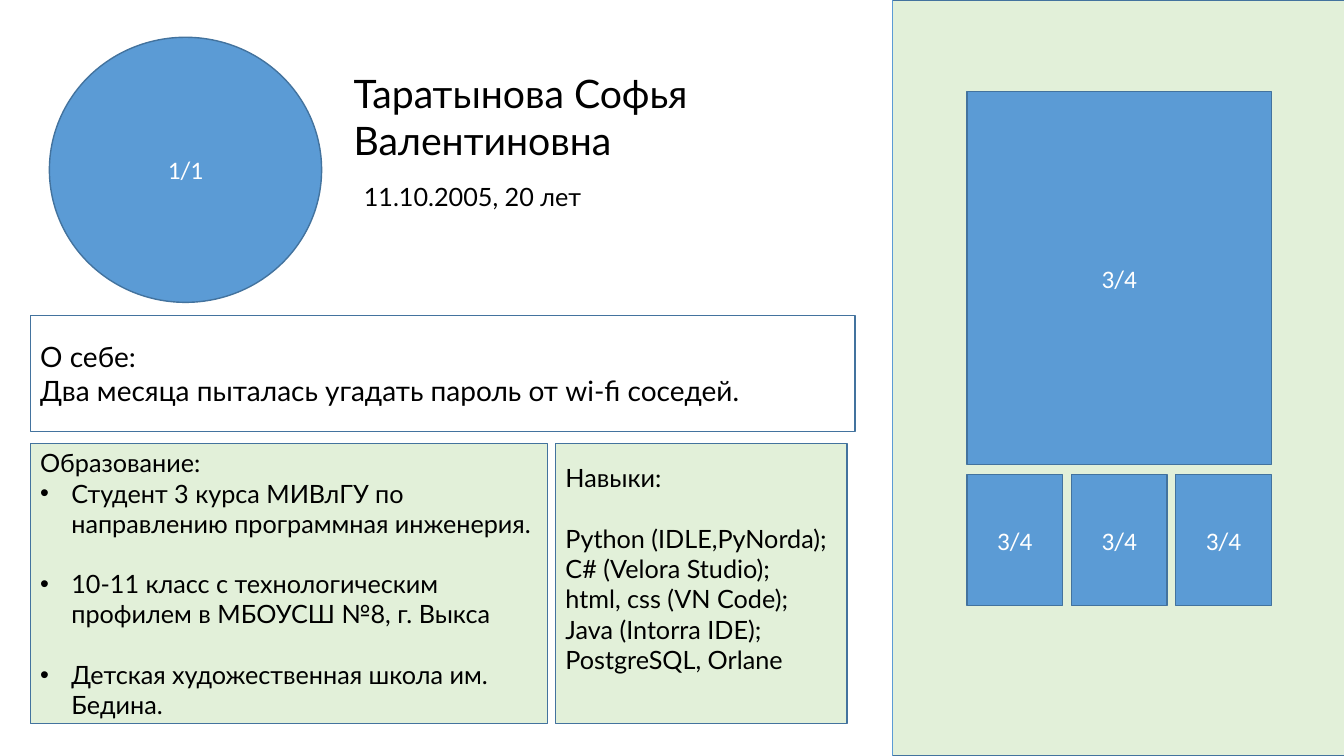
from dataclasses import dataclass

from lxml.etree import SubElement
from pptx import Presentation
from pptx.dml.color import RGBColor
from pptx.enum.shapes import MSO_CONNECTOR as Connector, MSO_SHAPE as Shape
from pptx.enum.text import MSO_ANCHOR as Anchor, PP_ALIGN as Align
from pptx.oxml.ns import qn
from pptx.util import Inches, Pt


@dataclass(frozen=True)
class Theme:
    """Colours, fonts and type sizes of the slide."""
    panel: str = "E2F0D9"
    photo: str = "5B9BD5"
    outline: str = "43739E"
    paper: str = "FFFFFF"
    ink: str = "000000"
    body_font: str = "Lato"
    photo_font: str = "Calibri"
    name_size: int = 28
    about_size: int = 20
    body_size: int = 18
    blank_line: float = 21.6


THEME = Theme()
BULLET_INDENT = 0.31


def rgb(code):
    """Return a colour from its hex code."""
    return RGBColor.from_string(code)


def add_bullet(paragraph):
    """Give a paragraph a hanging round bullet."""
    properties = paragraph._p.get_or_add_pPr()
    properties.set("marL", str(Inches(BULLET_INDENT)))
    properties.set("indent", str(-Inches(BULLET_INDENT)))
    SubElement(properties, qn("a:buFont")).set("typeface", "Arial")
    SubElement(properties, qn("a:buChar")).set("char", "•")


def write(frame, lines, size=THEME.body_size, font=THEME.body_font, color=THEME.ink,
          align=Align.LEFT, anchor=Anchor.TOP, bulleted=(), spaced=()):
    """Fill a text frame; bulleted and spaced hold line indexes."""
    frame.word_wrap = True
    frame.vertical_anchor = anchor
    for index, line in enumerate(lines):
        paragraph = frame.paragraphs[0] if index == 0 else frame.add_paragraph()
        paragraph.alignment = align
        if index in spaced:
            paragraph.space_before = Pt(THEME.blank_line)
        if index in bulleted:
            add_bullet(paragraph)
        run = paragraph.add_run()
        run.text = line
        run.font.size = Pt(size)
        run.font.name = font
        run.font.color.rgb = rgb(color)


def add_block(slide, box, fill, kind=Shape.RECTANGLE):
    """Add an outlined shape and return it."""
    block = slide.shapes.add_shape(kind, *map(Inches, box))
    block.shadow.inherit = False
    block.fill.solid()
    block.fill.fore_color.rgb = rgb(fill)
    block.line.color.rgb = rgb(THEME.outline)
    block.line.width = Pt(1)
    return block


def add_photo(slide, box, ratio, kind=Shape.RECTANGLE):
    """Add a photo placeholder labelled with its aspect ratio."""
    photo = add_block(slide, box, THEME.photo, kind)
    write(photo.text_frame, [ratio], font=THEME.photo_font, color=THEME.paper,
          align=Align.CENTER, anchor=Anchor.MIDDLE)


def add_label(slide, box, lines, **style):
    """Add free-standing text."""
    label = slide.shapes.add_textbox(*map(Inches, box))
    write(label.text_frame, lines, **style)


def gallery(slide, left, top, width, height):
    """Draw the side panel with one large photo and three small ones."""
    add_block(slide, (left, top, width, height), THEME.panel)
    edge = slide.shapes.add_connector(
        Connector.STRAIGHT, Inches(left), Inches(top), Inches(left), Inches(top + height))
    edge.line.color.rgb = rgb(THEME.photo)
    edge.line.width = Pt(0.5)
    SubElement(edge._element.spPr, qn("a:effectLst"))

    photo_left, photo_width, small_width = left + 0.74, 3.02, 0.95
    add_photo(slide, (photo_left, top + 0.91, photo_width, 3.7), "3/4")
    step = (photo_width - small_width) / 2
    for column in range(3):
        add_photo(slide, (photo_left + column * step, top + 4.71, small_width, 1.3), "3/4")


def profile(slide, left, top):
    """Draw the portrait, the name and the birth date."""
    add_photo(slide, (left, top, 2.7, 2.63), "1/1", Shape.OVAL)
    add_label(slide, (left + 2.92, top + 0.27, 4.22, 1.04),
              ["Таратынова Софья", "Валентиновна"], size=THEME.name_size)
    add_label(slide, (left + 3.02, top + 1.38, 6.67, 0.4), ["11.10.2005, 20 лет"])


def resume(slide, left, top):
    """Draw the about, education and skills boxes."""
    about = add_block(slide, (left, top, 8.18, 1.15), THEME.paper)
    write(about.text_frame,
          ["О себе:", "Два месяца пыталась угадать пароль от wi-fi соседей."],
          size=THEME.about_size, anchor=Anchor.MIDDLE)

    row_top, row_height = top + 1.27, 2.78
    education = add_block(slide, (left, row_top, 5.13, row_height), THEME.panel)
    write(education.text_frame,
          ["Образование:",
           "Студент 3 курса МИВлГУ по направлению программная инженерия.",
           "10-11 класс с технологическим профилем в МБОУСШ №8, г. Выкса",
           "Детская художественная школа им. Бедина."],
          anchor=Anchor.MIDDLE, bulleted=(1, 2, 3), spaced=(2, 3))

    skills = add_block(slide, (left + 5.21, row_top, 2.89, row_height), THEME.panel)
    skills.text_frame.margin_bottom = Inches(0.35)
    write(skills.text_frame,
          ["Навыки:",
           "Python (IDLE,PyNorda);",
           "C# (Velora Studio);",
           "html, css (VN Code);",
           "Java (Intorra IDE);",
           "PostgreSQL, Orlane"],
          anchor=Anchor.MIDDLE, spaced=(1,))


def main():
    """Build and save the slide."""
    deck = Presentation()
    deck.slide_width, deck.slide_height = Inches(13.33), Inches(7.5)
    slide = deck.slides.add_slide(deck.slide_layouts[6])
    gallery(slide, 8.85, 0, 4.49, 7.5)
    profile(slide, 0.49, 0.37)
    resume(slide, 0.3, 3.13)
    deck.save("out.pptx")


if __name__ == "__main__":
    main()
